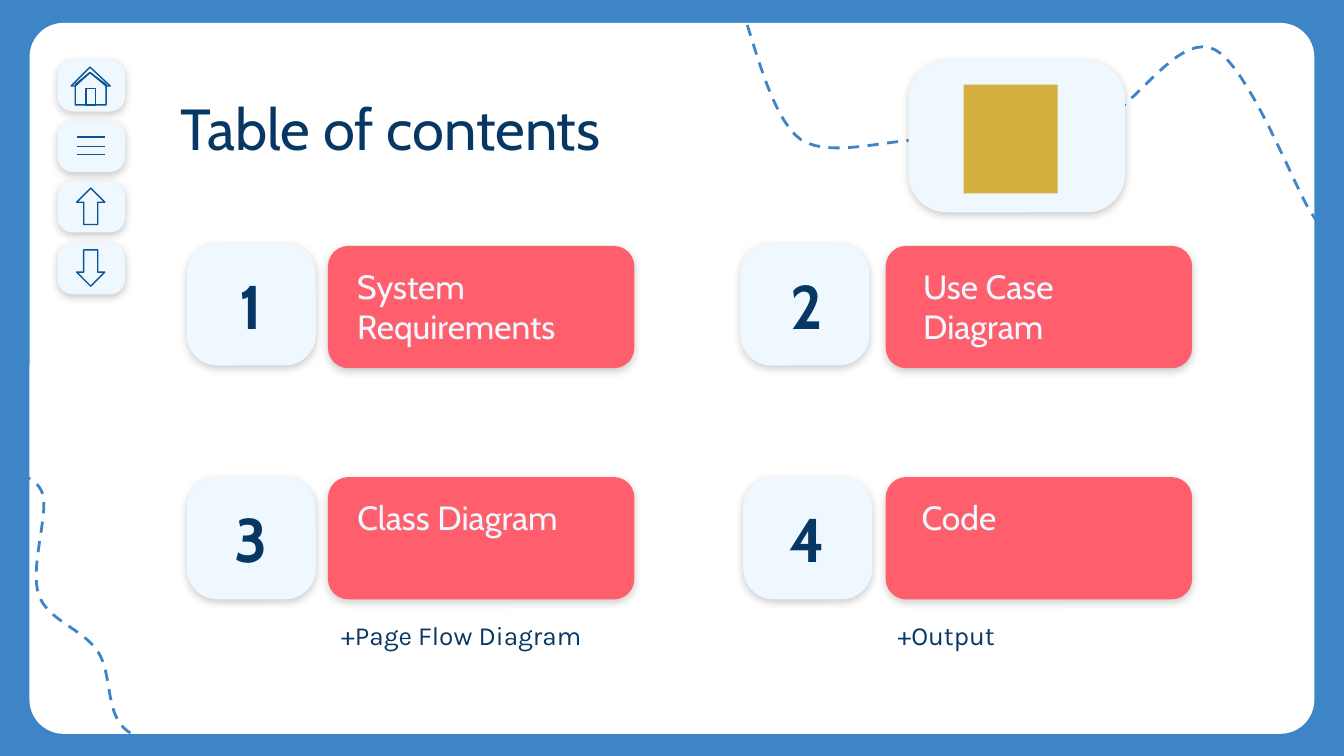
import pptx
import pptx.util
import pptx.dml.color
import pptx.enum.dml
import pptx.enum.shapes
import pptx.enum.text
import pptx.oxml
import pptx.oxml.ns

Inches, Pt = pptx.util.Inches, pptx.util.Pt
MSO = pptx.enum.shapes.MSO_SHAPE
ANCHOR = pptx.enum.text.MSO_ANCHOR
ALIGN = pptx.enum.text.PP_ALIGN
rgb = pptx.dml.color.RGBColor.from_string

BLUE, NAVY, ICON = "3D85C6", "073763", "0B5394"
WHITE, PALE, CORAL, GOLD = "FFFFFF", "F0F8FF", "FF5F6C", "D4AF3D"
NUMBER = {"size": Pt(33), "name": "Cabin", "bold": True}
LABEL = {"size": Pt(18), "name": "Cabin", "bold": False}
HEADING = {"size": Pt(31), "name": "Cabin", "bold": False}
NOTE = {"size": Pt(14), "name": "Karla", "bold": False}

# Widescreen slide, 16:9
prs = pptx.Presentation()
prs.slide_width, prs.slide_height = Inches(10), Inches(10 * 9 / 16)
s = prs.slides.add_slide(prs.slide_layouts[5])
s.background.fill.solid()
s.background.fill.fore_color.rgb = rgb(BLUE)


def add_box(left, top, width, height, fill, radius=0, shadow=0):
    """Rounded box; shadow is the opacity in percent, 0 for none."""
    kind = MSO.ROUNDED_RECTANGLE if radius else MSO.RECTANGLE
    sp = s.shapes.add_shape(kind, Inches(left), Inches(top), Inches(width), Inches(height))
    if radius:
        sp.adjustments[0] = radius
    sp.fill.solid()
    sp.fill.fore_color.rgb = rgb(fill)
    sp.line.fill.background()
    sp.shadow.inherit = False
    if shadow:
        effects = sp.element.spPr.find(pptx.oxml.ns.qn("a:effectLst"))
        effects.append(pptx.oxml.parse_xml(
            f'<a:outerShdw {pptx.oxml.ns.nsdecls("a")} blurRad="{Pt(4.5)}" dist="{Pt(1.5)}" '
            'dir="5400000" algn="bl" rotWithShape="0"><a:srgbClr val="000000">'
            f'<a:alpha val="{shadow * 1000}"/></a:srgbClr></a:outerShdw>'))


def add_text(left, top, width, height, text, color, font, centred=False, sp=None):
    """Fill the given placeholder, or a new text box."""
    place = {"left": left, "top": top, "width": width, "height": height}
    sp = sp or s.shapes.add_textbox(0, 0, 0, 0)
    for name, value in place.items():
        setattr(sp, name, Inches(value))
    tf = sp.text_frame
    tf.word_wrap = True
    tf.auto_size = pptx.enum.text.MSO_AUTO_SIZE.NONE
    tf.vertical_anchor = ANCHOR.MIDDLE if centred else ANCHOR.TOP
    for side in ("left", "top", "right", "bottom"):
        setattr(tf, f"margin_{side}", Inches(0.1))
    p = tf.paragraphs[0]
    p.text = text
    p.alignment = ALIGN.CENTER if centred else ALIGN.LEFT
    for r in p.runs:
        for name, value in font.items():
            setattr(r.font, name, value)
        r.font.color.rgb = rgb(color)


# White panel
add_box(0.22, 0.17, 9.56, 5.29, WHITE, 0.048)

# Dashed curves: a start point, then Bezier segments of three points each
curves = [
    [(0.01, 3.49),
     (0.06, 3.52), (0.27, 3.52), (0.32, 3.68), (0.36, 3.84), (0.22, 4.23), (0.29, 4.43),
     (0.36, 4.62), (0.62, 4.68), (0.73, 4.85), (0.84, 5.02), (0.78, 5.32), (0.95, 5.44),
     (1.12, 5.57), (1.59, 5.58), (1.74, 5.6), (1.9, 5.63), (1.85, 5.59), (1.87, 5.59)],
    [(5.51, 0.05),
     (5.59, 0.21), (5.72, 0.87), (5.96, 1.04), (6.21, 1.2), (6.73, 0.99), (7, 1.05),
     (7.26, 1.12), (7.34, 1.44), (7.56, 1.41), (7.77, 1.37), (8.04, 1.02), (8.28, 0.85),
     (8.53, 0.67), (8.8, 0.25), (9.04, 0.37), (9.28, 0.49), (9.61, 1.33), (9.73, 1.54),
     (9.86, 1.75), (9.78, 1.6), (9.79, 1.62)],
]
STEPS = 16
for knots in curves:
    points = []
    for i in range(0, len(knots) - 1, 3):
        a, b, c, d = knots[i:i + 4]
        for t in (n / STEPS for n in range(1, STEPS + 1)):
            u = 1 - t
            points.append([Inches(u**3 * a[k] + 3 * u * u * t * b[k] + 3 * u * t * t * c[k] + t**3 * d[k])
                           for k in (0, 1)])
    fb = s.shapes.build_freeform(Inches(knots[0][0]), Inches(knots[0][1]))
    fb.add_line_segments(points, close=False)
    sp = fb.convert_to_shape()
    sp.fill.background()
    sp.line.color.rgb = rgb(BLUE)
    sp.line.width = Pt(1.5)
    sp.line.dash_style = pptx.enum.dml.MSO_LINE.DASH
    sp.shadow.inherit = False

# Title, brought in front of the panel
title = s.shapes.title
title.element.getparent().append(title.element)
add_text(1.24, 0.59, 7.97, 0.69, "Table of contents", NAVY, HEADING, sp=title)

# Contents: number card, number text left, coral card, label, label left and width
entries = [
    ("1", 1.39, 1.81, 1.45, 2.44, 1.83, "System Requirements", 2.56, 2.16),
    ("2", 5.51, 1.81, 5.59, 6.59, 1.83, "Use Case \nDiagram", 6.77, 1.73),
    ("3", 1.39, 3.55, 1.45, 2.44, 3.55, "Class Diagram", 2.56, 1.82),
    ("4", 5.53, 3.55, 5.59, 6.59, 3.55, "Code", 6.76, 1.73),
]
for number, x, y, number_x, card_x, card_y, label, label_x, label_w in entries:
    add_box(card_x, card_y, 2.28, 0.91, CORAL, 0.167, 20)
    add_box(x, y, 0.96, 0.91, PALE, 0.251, 20)
    add_text(number_x, y + 0.11, 0.83, 0.69, number, NAVY, NUMBER, centred=True)
    add_text(label_x, card_y + 0.05, label_w, 0.84, label, PALE, LABEL)

# Notes under the lower cards
for x, text in ((2.44, "+Page Flow Diagram"), (6.58, "+Output")):
    add_text(x, 4.51, 2.81, 0.66, text, NAVY, NOTE)

# Emblem card with a plain block
add_box(6.76, 0.45, 1.61, 1.13, PALE, 0.251, 20)
add_box(7.17, 0.63, 0.7, 0.81, GOLD)

# Navigation buttons
for y in (0.45, 0.9, 1.35, 1.81):
    add_box(0.43, y, 0.5, 0.38, PALE, 0.291, 21)

# Icons: house, arrows, menu lines
icons = []
house = [
    [(0.67, 0.54), (0.56, 0.63), (0.56, 0.78), (0.79, 0.78), (0.79, 0.63)],
    [(0.64, 0.66), (0.64, 0.78), (0.71, 0.78), (0.71, 0.66)],
    [(0.67, 0.5), (0.53, 0.64), (0.56, 0.64), (0.67, 0.54), (0.79, 0.64), (0.82, 0.64)],
]
for outline in house:
    start, *rest = [(Inches(x), Inches(y)) for x, y in outline]
    fb = s.shapes.build_freeform(*start)
    fb.add_line_segments(rest, close=True)
    icons.append(fb.convert_to_shape())
for y, rotation in ((1.4, 180), (1.86, 0)):
    sp = s.shapes.add_shape(MSO.DOWN_ARROW, Inches(0.57), Inches(y), Inches(0.21), Inches(0.27))
    sp.rotation = rotation
    icons.append(sp)
for sp in icons:
    sp.fill.background()
    sp.shadow.inherit = False
for y in (1.02, 1.09, 1.15):
    line = s.shapes.add_connector(pptx.enum.shapes.MSO_CONNECTOR.STRAIGHT,
                                  Inches(0.57), Inches(y), Inches(0.78), Inches(y))
    line.element.spPr.append(pptx.oxml.parse_xml(f'<a:effectLst {pptx.oxml.ns.nsdecls("a")}/>'))
    icons.append(line)
for sp in icons:
    sp.line.color.rgb = rgb(ICON)
    sp.line.width = Pt(0.75)

prs.save("out.pptx")
